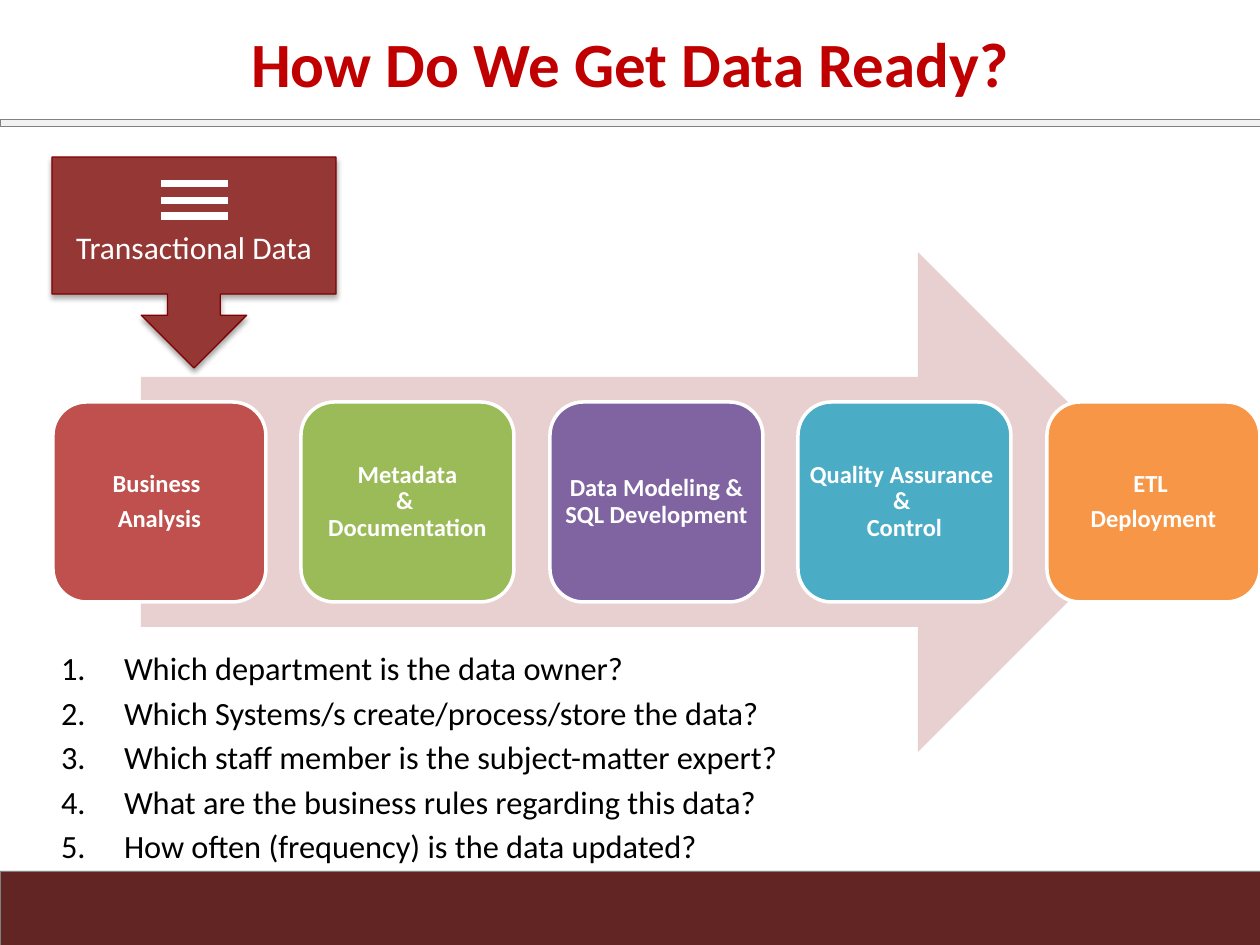
from lxml import etree
from pptx import Presentation
from pptx.dml.color import RGBColor
from pptx.enum.shapes import MSO_SHAPE
from pptx.enum.text import MSO_ANCHOR, PP_ALIGN
from pptx.oxml.ns import qn
from pptx.util import Emu, Pt

RECT, ROUND = MSO_SHAPE.RECTANGLE, MSO_SHAPE.ROUNDED_RECTANGLE
CALLOUT, EQUAL = MSO_SHAPE.DOWN_ARROW_CALLOUT, MSO_SHAPE.MATH_EQUAL
ARROW = MSO_SHAPE.RIGHT_ARROW
MIDDLE, TOP = MSO_ANCHOR.MIDDLE, MSO_ANCHOR.TOP
CENTER, LEFT = PP_ALIGN.CENTER, PP_ALIGN.LEFT

WHITE = RGBColor(0xFF, 0xFF, 0xFF)
BLACK = RGBColor(0x00, 0x00, 0x00)
GRAY = RGBColor(0x80, 0x80, 0x80)
PALE = RGBColor(0xF2, 0xF2, 0xF2)
MAROON = RGBColor(0x63, 0x25, 0x23)
BRICK = RGBColor(0x95, 0x37, 0x35)
EDGE = RGBColor(0x80, 0x00, 0x00)
RED = RGBColor(0xC0, 0x00, 0x00)
PINK = RGBColor(0xE8, 0xD0, 0xD0)

STEPS = [
    (RGBColor(0xC0, 0x50, 0x4D), "Business \nAnalysis"),
    (RGBColor(0x9B, 0xBB, 0x59), "Metadata\v& \vDocumentation"),
    (RGBColor(0x80, 0x64, 0xA2), "Data Modeling & SQL Development"),
    (RGBColor(0x4B, 0xAC, 0xC6), "Quality Assurance \v& \vControl"),
    (RGBColor(0xF7, 0x96, 0x46), "ETL \nDeployment"),
]
ASKS = [
    "Which department is the data owner?",
    "Which Systems/s create/process/store the data?",
    "Which staff member is the subject-matter expert?",
    "What are the business rules regarding this data?",
    "How often (frequency) is the data updated?",
]


def px(n):
    """Turn pixels into EMU."""
    return Emu(round(n * 914400 / 126))


def add_box(slide, kind, box, fill, line=None, width=0):
    """Add a filled preset shape without a shadow."""
    shape = slide.shapes.add_shape(kind, *map(px, box))
    shape.shadow.inherit = False
    shape.fill.solid()
    shape.fill.fore_color.rgb = fill
    if line is None:
        shape.line.fill.background()
    else:
        shape.line.color.rgb = line
        shape.line.width = Pt(width)
    return shape


def set_text(shape, text, size, color, bold=False, align=CENTER,
             anchor=MIDDLE, pad=(13, 6, 13, 6)):
    """Fill a shape with text in one style and return its paragraphs."""
    frame = shape.text_frame
    frame.word_wrap = True
    frame.vertical_anchor = anchor
    (frame.margin_left, frame.margin_top,
     frame.margin_right, frame.margin_bottom) = map(px, pad)
    frame.text = text
    for para in frame.paragraphs:
        para.alignment = align
        font = para.font
        font.name, font.size, font.bold = "Calibri", Pt(size), bold
        font.color.rgb = color
    return frame.paragraphs


def add_shade(shape):
    """Give a shape a soft shadow below it."""
    effects = shape._element.spPr.find(qn("a:effectLst"))
    shade = etree.SubElement(
        effects, qn("a:outerShdw"), blurRad=str(Pt(3.1)),
        dist=str(Pt(1.8)), dir="5400000", rotWithShape="0")
    color = etree.SubElement(shade, qn("a:srgbClr"), val="000000")
    etree.SubElement(color, qn("a:alpha"), val="35000")


def add_source(slide):
    """Add the callout with its stack of bars."""
    call = add_box(slide, CALLOUT, (52, 157, 284, 211), BRICK, EDGE, 0.75)
    add_shade(call)
    set_text(call, "Transactional Data", 18, WHITE, pad=(13, 49, 13, 6))
    for top in (184, 168):
        add_box(slide, EQUAL, (147, top, 95, 48), WHITE, BRICK, 2)


def add_steps(slide):
    """Add the wide arrow and the row of step cards."""
    add_box(slide, ARROW, (141, 252, 1027, 500), PINK)
    for i, (fill, text) in enumerate(STEPS):
        left = 53 + i * 994 // 4
        card = add_box(slide, ROUND, (left, 402, 213, 200), fill, WHITE, 2)
        for para in set_text(card, text, 14, WHITE, True, pad=(0, 0, 0, 0)):
            para.line_spacing = 0.9
            para.space_after = Pt(4.9)


def add_list(slide, box, items):
    """Add a numbered list."""
    area = slide.shapes.add_textbox(*map(px, box))
    area.text_frame.text = "\n".join(items)
    paras = set_text(area, "\n".join(items), 18.5, BLACK, align=LEFT,
                     anchor=TOP)
    for i, para in enumerate(paras):
        props = para._p.get_or_add_pPr()
        props.set("marL", str(px(111)))
        props.set("indent", str(-px(63)))
        mark = etree.Element(qn("a:buAutoNum"), type="arabicPeriod")
        props.find(qn("a:defRPr")).addprevious(mark)
        if i:
            para.space_before = Pt(3.3)


def main():
    """Build the slide and save it."""
    deck = Presentation()
    deck.slide_width, deck.slide_height = px(1260), px(945)
    slide = deck.slides.add_slide(deck.slide_layouts[6])
    add_box(slide, RECT, (0, 871, 1260, 74), MAROON, GRAY, 0.25)
    add_box(slide, RECT, (0, 119, 1260, 7), PALE, GRAY, 0.25)
    title = slide.shapes.add_textbox(*map(px, (63, 10, 1134, 105)))
    set_text(title, "How Do We Get Data Ready?", 36, RED, True)
    add_source(slide)
    add_steps(slide)
    add_list(slide, (0, 642, 861, 210), ASKS)
    deck.save("out.pptx")


if __name__ == "__main__":
    main()
